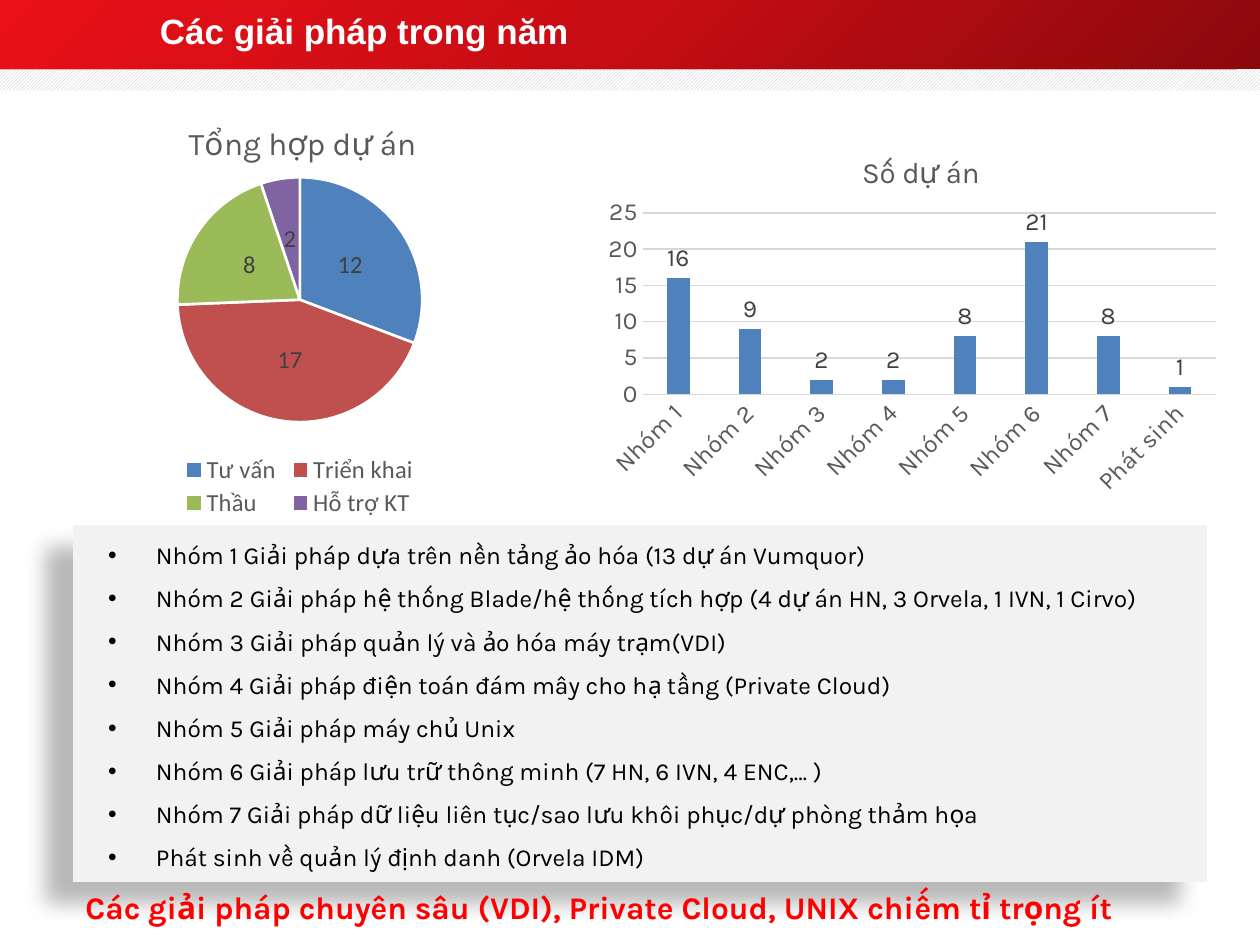
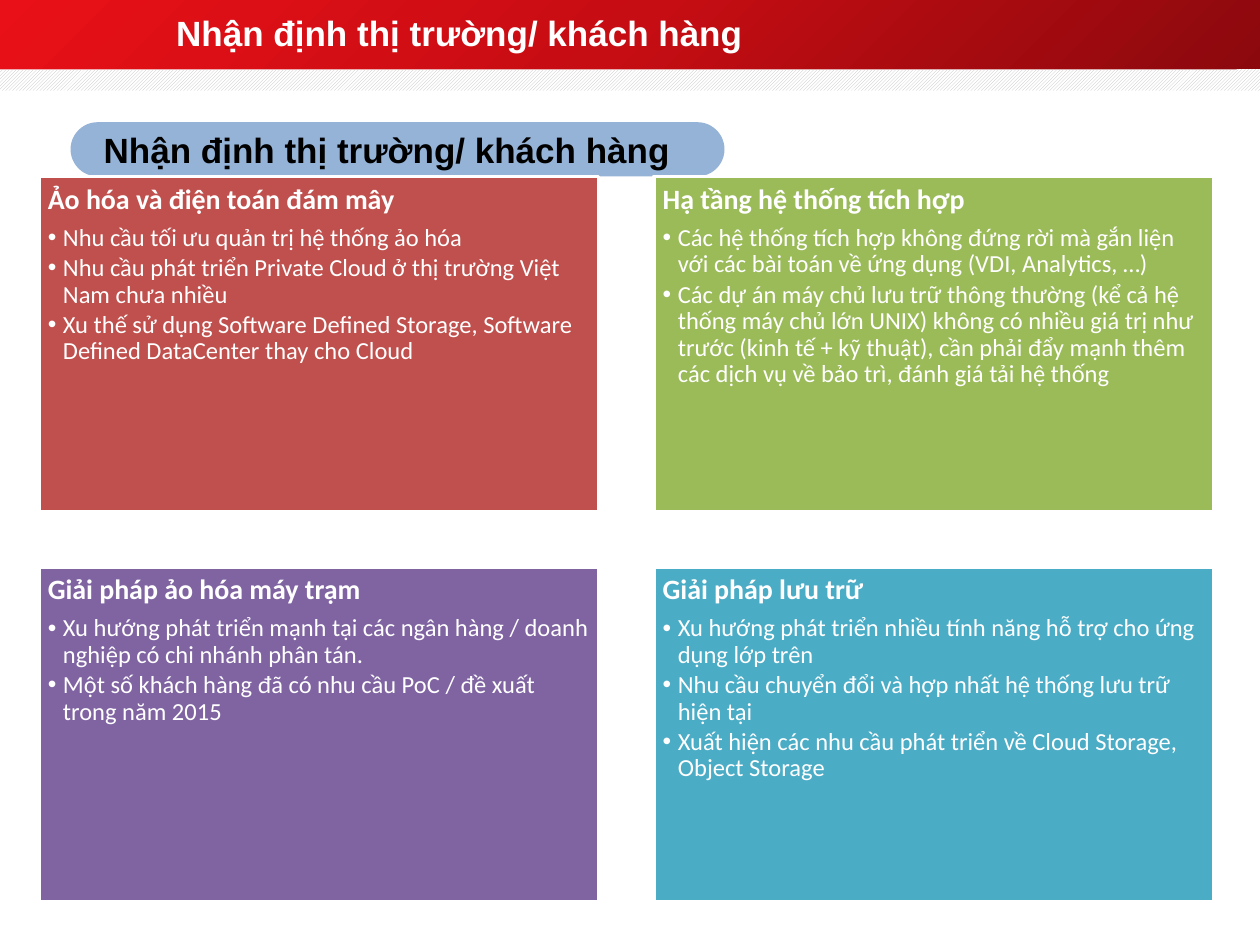
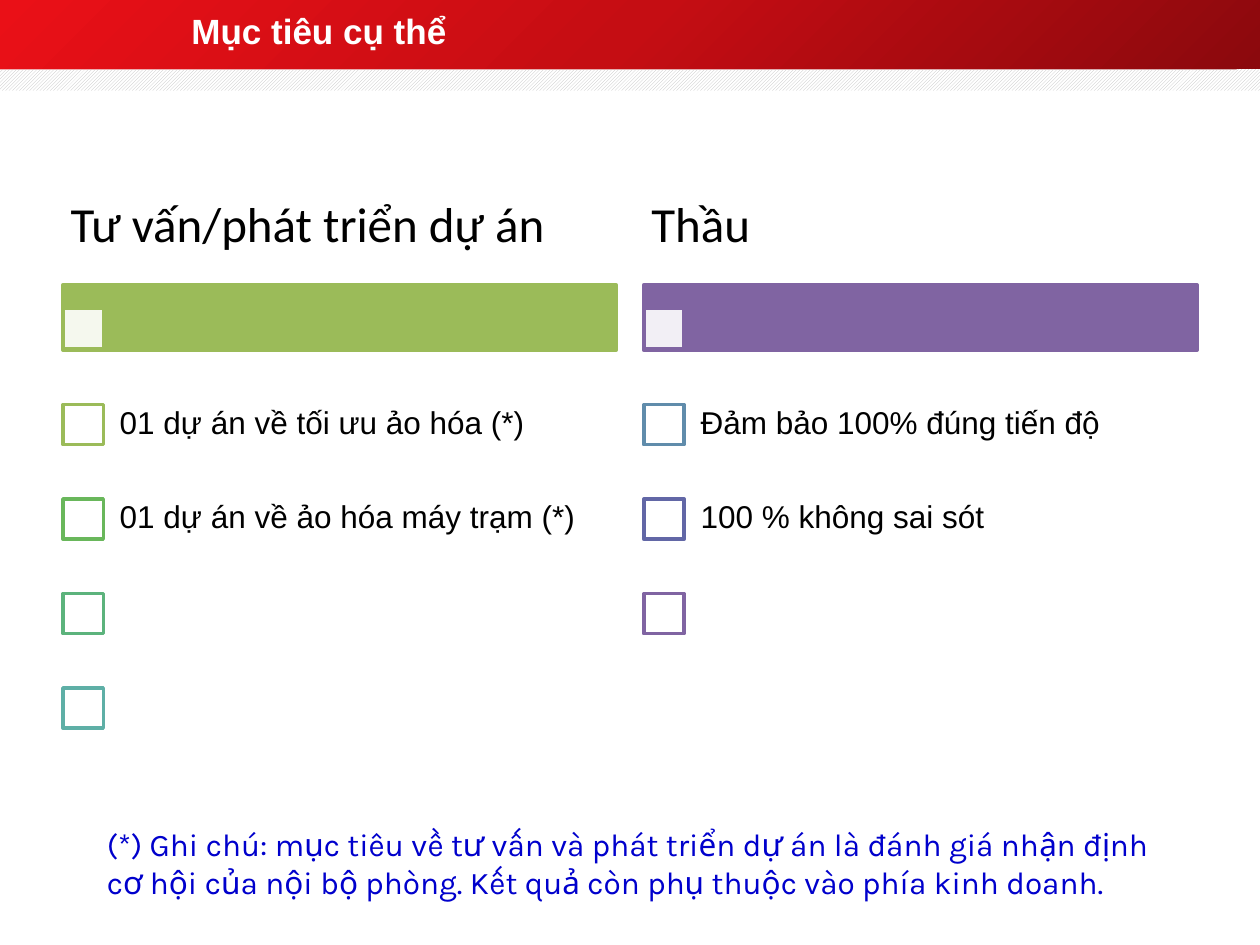
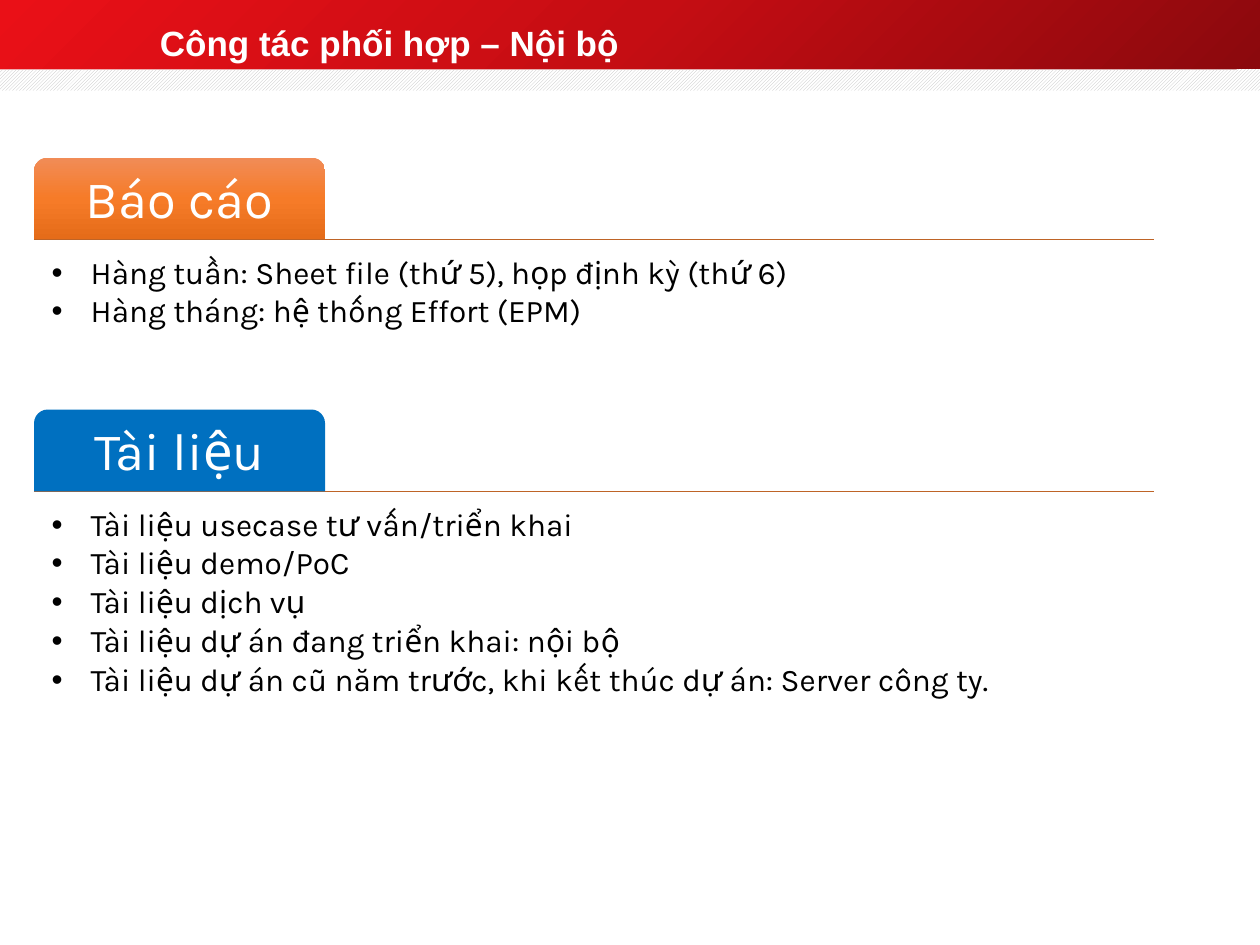
from copy import deepcopy
from dataclasses import dataclass, field

from lxml import etree
from pptx import Presentation
from pptx import util as u
from pptx.chart.data import CategoryChartData
from pptx.dml.color import RGBColor
from pptx.enum import chart as charts, dml, shapes, text
from pptx.oxml.ns import qn

# The grid: 10 columns by 7.5 rows fill the slide
WIDTH, HEIGHT = u.Inches(10), u.Inches(7.5)
COLUMN, ROW = WIDTH / 10, HEIGHT / 7.5
NO_INSET = (0.1, 0.05, 0.1, 0.05)


@dataclass(frozen=True)
class Style:
    """Format of a paragraph; spacing is a share of the type size."""
    size: float
    font: str
    color: str = "000000"
    bold: bool = False
    line: float = 1.0
    before: float = 0
    after: float = 0
    margin: float = 0
    hang: float = 0
    align: text.PP_ALIGN = text.PP_ALIGN.LEFT


@dataclass(frozen=True)
class Theme:
    blue: str = "4F81BD"
    red: str = "C0504D"
    green: str = "9BBB59"
    purple: str = "8064A2"
    aqua: str = "4BACC6"
    white: str = "FFFFFF"
    panel: str = "F2F2F2"
    pill: str = "95B3D7"
    document: str = "0070C0"
    rule: str = "BE6427"
    grid: str = "D9D9D9"
    axis_text: str = "595959"
    label_text: str = "404040"
    hatch: str = "BFBFBF"
    band: tuple = ("8B090D", "C50D13", "EA1017")
    report: tuple = ("F18C57", "F67B28", "E56C19")
    title: Style = field(default=Style(20, "Arial", "FFFFFF", True))
    pill_text: Style = field(default=Style(20, "Arial", bold=True))
    group: Style = field(default=Style(14, "Karla", line=1.3, before=0.2, margin=0.56, hang=0.38))
    conclusion: Style = field(default=Style(18, "Karla", "FF0000", True))
    card_head: Style = field(default=Style(16, "Calibri", "FFFFFF", True, line=0.9, after=0.35))
    card_item: Style = field(default=Style(14, "Calibri", "FFFFFF", line=0.9, after=0.15,
                                           margin=0.12, hang=0.12))
    goal_head: Style = field(default=Style(28, "Calibri", line=0.9, after=0.35))
    goal: Style = field(default=Style(18, "Arial", line=0.9, after=0.35))
    note: Style = field(default=Style(18, "Karla", "0000CC"))
    tab: Style = field(default=Style(30, "Karla", "FFFFFF", line=0.9, after=0.35,
                                     align=text.PP_ALIGN.CENTER))
    tab_item: Style = field(default=Style(18, "Karla", line=0.9, after=0.15,
                                          margin=0.31, hang=0.31))


THEME = Theme()


# Helpers for format
def apply(target, **values):
    for name, value in values.items():
        setattr(target, name, value)


def rgb(color):
    return RGBColor.from_string(color)


def place(left, top, width, height):
    return [round(n) for n in (left * COLUMN, top * ROW, width * COLUMN, height * ROW)]


def set_font(font, size, name, color, bold=False):
    apply(font, size=u.Pt(size), name=name, bold=bold)
    font.color.rgb = rgb(color)


def set_solid(fill, color):
    fill.solid()
    fill.fore_color.rgb = rgb(color)


def set_gradient(shape, colors, angle):
    """Three even stops; the angle runs counter-clockwise."""
    shape.fill.gradient()
    shape.fill.gradient_angle = angle
    stop_list = shape.element.spPr.find(".//" + qn("a:gsLst"))
    stop_list.append(deepcopy(stop_list[-1]))
    for index, (stop, color) in enumerate(zip(shape.fill.gradient_stops, colors)):
        stop.color.rgb = rgb(color)
        stop.position = index / 2


def add_shadow(shape, color, alpha, blur, distance, direction):
    effects = shape.element.spPr.find(qn("a:effectLst"))
    shadow = etree.SubElement(effects, qn("a:outerShdw"), {
        "blurRad": str(u.Pt(blur)), "dist": str(u.Pt(distance)),
        "dir": str(direction * 60000), "algn": "ctr", "rotWithShape": "0"})
    shade = etree.SubElement(shadow, qn("a:srgbClr"), val=color)
    etree.SubElement(shade, qn("a:alpha"), val=str(alpha * 1000))


# Elements
def write(shape, lines, inset=NO_INSET, anchor=text.MSO_ANCHOR.TOP):
    """Fill a shape with (text, style) pairs, one a paragraph."""
    frame = shape.text_frame
    sides = ("margin_left", "margin_top", "margin_right", "margin_bottom")
    apply(frame, word_wrap=True, vertical_anchor=anchor,
          **{side: u.Inches(n) for side, n in zip(sides, inset)})
    for index, (words, style) in enumerate(lines):
        paragraph = frame.add_paragraph() if index else frame.paragraphs[0]
        apply(paragraph, alignment=style.align, line_spacing=style.line,
              space_before=u.Pt(style.before * style.size),
              space_after=u.Pt(style.after * style.size))
        run = paragraph.add_run()
        run.text = words
        set_font(run.font, style.size, style.font, style.color, style.bold)
        if style.hang:
            properties = paragraph._p.get_or_add_pPr()
            properties.set("marL", str(u.Inches(style.margin)))
            properties.set("indent", str(-u.Inches(style.hang)))
            etree.SubElement(properties, qn("a:buFont"), typeface="Arial")
            etree.SubElement(properties, qn("a:buChar"), char="•")


def add_text(slide, box, lines, **layout):
    write(slide.shapes.add_textbox(*place(*box)), lines, **layout)


def add_block(slide, box, fill=None, line=None, kind=shapes.MSO_SHAPE.RECTANGLE, alpha=None):
    shape = slide.shapes.add_shape(kind, *place(*box))
    shape.shadow.inherit = False
    if fill:
        set_solid(shape.fill, fill)
    if alpha:
        color = shape.element.spPr.find(qn("a:solidFill"))[0]
        etree.SubElement(color, qn("a:alpha"), val=str(alpha * 1000))
    if line:
        set_solid(shape.line.fill, line)
        shape.line.width = u.Pt(2)
    else:
        shape.line.fill.background()
    return shape


def add_rule(slide, left, right, top):
    start, level, length, _ = place(left, top, right - left, 0)
    rule = slide.shapes.add_connector(shapes.MSO_CONNECTOR.STRAIGHT,
                                      start, level, start + length, level)
    rule.line.color.rgb = rgb(THEME.rule)
    rule.line.width = u.Pt(1)
    etree.SubElement(rule.element.spPr, qn("a:effectLst"))


def set_layout(chart, part, index, **shares):
    """Place a chart part by shares of the chart's size."""
    element = chart.element.xpath(f"c:chart/c:{part}")[0]
    for old in element.findall(qn("c:layout")):
        element.remove(old)
    layout = etree.Element(qn("c:layout"))
    manual = etree.SubElement(layout, qn("c:manualLayout"))
    if part == "plotArea":
        etree.SubElement(manual, qn("c:layoutTarget"), val="inner")
    for mode in ("xMode", "yMode"):
        etree.SubElement(manual, qn(f"c:{mode}"), val="edge")
    for name, share in shares.items():
        etree.SubElement(manual, qn(f"c:{name}"), val=str(share))
    element.insert(index, layout)


def add_chart(slide, box, kind, title, title_size, series_name, values, label_font, position):
    data = CategoryChartData()
    data.categories = list(values)
    data.add_series(series_name, list(values.values()))
    chart = slide.shapes.add_chart(kind, *place(*box), data).chart
    set_font(chart.font, 14, label_font, THEME.axis_text)
    chart.has_title = True
    chart.chart_title.text_frame.text = title
    set_font(chart.chart_title.text_frame.paragraphs[0].runs[0].font,
             title_size, "Karla", THEME.axis_text)
    plot = chart.plots[0]
    plot.has_data_labels = True
    apply(plot.data_labels, show_value=True, show_percentage=False, position=position)
    set_font(plot.data_labels.font, 14, label_font, THEME.label_text)
    chart.has_legend = False
    return chart


def add_project_pie(slide):
    values = {"Tư vấn": 12, "Triển khai": 17, "Thầu": 8, "Hỗ trợ KT": 2}
    chart = add_chart(slide, (0.17, 0.76, 4.42, 3.41), charts.XL_CHART_TYPE.PIE,
                      "Tổng hợp dự án", 18, "Series 1", values, "Calibri",
                      charts.XL_LABEL_POSITION.CENTER)
    chart.plots[0].vary_by_categories = True
    colors = (THEME.blue, THEME.red, THEME.green, THEME.purple)
    for index, color in enumerate(colors):
        point = chart.plots[0].series[0].points[index].format
        set_solid(point.fill, color)
        point.line.color.rgb = rgb(THEME.white)
        point.line.width = u.Pt(1.5)
    chart.has_legend = True
    apply(chart.legend, position=charts.XL_LEGEND_POSITION.BOTTOM, include_in_layout=False)
    set_font(chart.legend.font, 14, "Calibri", THEME.axis_text)
    set_layout(chart, "title", 1, x=0.29, y=0.05)
    set_layout(chart, "plotArea", 0, x=0.28, y=0.19, w=0.44, h=0.57)
    set_layout(chart, "legend", 1, x=0.28, y=0.83, w=0.44, h=0.16)


def add_group_columns(slide):
    counts = (16, 9, 2, 2, 8, 21, 8)
    values = {f"Nhóm {number}": count for number, count in enumerate(counts, 1)}
    values["Phát sinh"] = 1
    chart = add_chart(slide, (4.75, 1, 5, 3), charts.XL_CHART_TYPE.COLUMN_CLUSTERED,
                      "Số dự án", 16.8, "Số dự án", values, "Karla",
                      charts.XL_LABEL_POSITION.OUTSIDE_END)
    apply(chart.plots[0], gap_width=219, overlap=-27, vary_by_categories=False)
    set_solid(chart.plots[0].series[0].format.fill, THEME.blue)
    for axis in (chart.category_axis, chart.value_axis):
        apply(axis, major_tick_mark=charts.XL_TICK_MARK.NONE,
              minor_tick_mark=charts.XL_TICK_MARK.NONE)
        set_font(axis.tick_labels.font, 14, "Karla", THEME.axis_text)
    apply(chart.value_axis, minimum_scale=0, maximum_scale=25, major_unit=5)
    chart.value_axis.format.line.fill.background()
    for line in (chart.category_axis.format.line, chart.value_axis.major_gridlines.format.line):
        line.color.rgb = rgb(THEME.grid)
        line.width = u.Pt(0.75)
    label_body = chart.category_axis.element if hasattr(chart.category_axis, "element") else None
    if label_body is None:
        label_body = chart.element.xpath(".//c:catAx")[0]
    label_body.find(qn("c:txPr")).find(qn("a:bodyPr")).set("rot", str(-45 * 60000))
    set_layout(chart, "title", 1, x=0.41, y=0.06)
    set_layout(chart, "plotArea", 0, x=0.07, y=0.23, w=0.91, h=0.48)


# What the slides share
def prepare_layout(presentation):
    """Put the bands on the blank layout and return it with the first slide."""
    layout = presentation.slide_layouts[6]
    for placeholder in list(layout.placeholders):
        layout.shapes.element.remove(placeholder.element)
    slide = presentation.slides.add_slide(layout)
    band = add_block(slide, (0, 0, 10, 0.55))
    set_gradient(band, THEME.band, 135)
    strip = add_block(slide, (0, 0.55, 10, 0.17))
    strip.fill.patterned()
    strip.fill.pattern = dml.MSO_PATTERN.DARK_UPWARD_DIAGONAL
    strip.fill.fore_color.rgb = rgb(THEME.hatch)
    strip.fill.back_color.rgb = rgb(THEME.white)
    for shape in (band, strip):
        layout.shapes.element.append(shape.element)
    return layout, slide


def add_title(slide, words, left, top=0):
    add_text(slide, (left, top, 7.58, 0.48), [(words, THEME.title)],
             anchor=text.MSO_ANCHOR.MIDDLE)


# Slides
def build_solutions(slide):
    add_title(slide, "Các giải pháp trong năm", 1.17)
    add_project_pie(slide)
    panel = add_block(slide, (0.58, 4.17, 9, 2.83), THEME.panel)
    add_shadow(panel, "000000", alpha=28, blur=11.8, distance=19.7, direction=141)
    groups = (
        "Nhóm 1 Giải pháp dựa trên nền tảng ảo hóa (13 dự án Vumquor)",
        "Nhóm 2 Giải pháp hệ thống Blade/hệ thống tích hợp (4 dự án HN, 3 Orvela, 1 IVN, 1 Cirvo)",
        "Nhóm 3 Giải pháp quản lý và ảo hóa máy trạm(VDI)",
        "Nhóm 4 Giải pháp điện toán đám mây cho hạ tầng (Private Cloud)",
        "Nhóm 5 Giải pháp máy chủ Unix",
        "Nhóm 6 Giải pháp lưu trữ thông minh (7 HN, 6 IVN, 4 ENC,… )",
        "Nhóm 7 Giải pháp dữ liệu liên tục/sao lưu khôi phục/dự phòng thảm họa",
        "Phát sinh về quản lý định danh (Orvela IDM)",
    )
    write(panel, [(group, THEME.group) for group in groups])
    add_group_columns(slide)
    add_text(slide, (0.58, 7, 8.97, 0.4), [(
        "Các giải pháp chuyên sâu (VDI), Private Cloud, UNIX chiếm tỉ trọng ít",
        THEME.conclusion)])


def build_market(slide):
    heading = "Nhận định thị trường/ khách hàng"
    add_title(slide, heading, 1.3, 0.02)
    pill = add_block(slide, (0.56, 0.97, 5.19, 0.43), THEME.pill,
                     kind=shapes.MSO_SHAPE.ROUNDED_RECTANGLE)
    pill.adjustments[0] = 0.5
    write(pill, [(heading, THEME.pill_text)], (0.2, 0.05, 0.1, 0.05), text.MSO_ANCHOR.MIDDLE)
    cards = (
        (THEME.red, "Ảo hóa và điện toán đám mây", (
            "Nhu cầu tối ưu quản trị hệ thống ảo hóa",
            "Nhu cầu phát triển Private Cloud ở thị trường Việt Nam chưa nhiều",
            "Xu thế sử dụng Software Defined Storage, Software Defined DataCenter thay cho Cloud")),
        (THEME.green, "Hạ tầng hệ thống tích hợp", (
            "Các hệ thống tích hợp không đứng rời mà gắn liện với các bài toán về ứng dụng "
            "(VDI, Analytics, …)",
            "Các dự án máy chủ lưu trữ thông thường (kể cả hệ thống máy chủ lớn UNIX) không có "
            "nhiều giá trị như trước (kinh tế + kỹ thuật), cần phải đẩy mạnh thêm các dịch vụ "
            "về bảo trì, đánh giá tải hệ thống")),
        (THEME.purple, "Giải pháp ảo hóa máy trạm", (
            "Xu hướng phát triển mạnh tại các ngân hàng / doanh nghiệp có chi nhánh phân tán.",
            "Một số khách hàng đã có nhu cầu PoC / đề xuất trong năm 2015")),
        (THEME.aqua, "Giải pháp lưu trữ", (
            "Xu hướng phát triển nhiều tính năng hỗ trợ cho ứng dụng lớp trên",
            "Nhu cầu chuyển đổi và hợp nhất hệ thống lưu trữ hiện tại",
            "Xuất hiện các nhu cầu phát triển về Cloud Storage, Object Storage")),
    )
    for index, (color, head, items) in enumerate(cards):
        row, column = divmod(index, 2)
        card = add_block(slide, (0.31 + 4.88 * column, 1.4 + 3.1 * row, 4.44, 2.66),
                         color, THEME.white)
        lines = [(head, THEME.card_head)] + [(item, THEME.card_item) for item in items]
        write(card, lines, (0.07,) * 4)


def build_goals(slide):
    add_title(slide, "Mục tiêu cụ thể", 1.42)
    columns = (
        ("Tư vấn/phát triển dự án", THEME.green,
         ("01 dự án về tối ưu ảo hóa (*)", "01 dự án về ảo hóa máy trạm (*)"),
         (THEME.green, "69B75B", "5CB37C", "5EAFA6")),
        ("Thầu", THEME.purple,
         ("Đảm bảo 100% đúng tiến độ", "100 % không sai sót"),
         ("608CAB", "6267A6", THEME.purple)),
    )
    for index, (head, color, goals, box_colors) in enumerate(columns):
        left = 0.5 + 4.61 * index
        add_block(slide, (left, 2.26, 4.39, 0.52), color, color)
        add_block(slide, (left, 2.45, 0.32, 0.32), THEME.white, color, alpha=90)
        add_text(slide, (left, 1.33, 4.39, 0.93), [(head, THEME.goal_head)],
                 inset=(0.06, 0.04, 0.06, 0.04), anchor=text.MSO_ANCHOR.MIDDLE)
        for row, box_color in enumerate(box_colors):
            add_block(slide, (left, 3.21 + 0.75 * row, 0.32, 0.32), THEME.white, box_color)
        for row, goal in enumerate(goals):
            add_text(slide, (left + 0.31, 2.99 + 0.75 * row, 4.08, 0.75), [(goal, THEME.goal)],
                     inset=(0.14,) * 4, anchor=text.MSO_ANCHOR.MIDDLE)
    add_text(slide, (0.75, 6.5, 8.58, 0.71), [(
        "(*) Ghi chú: mục tiêu về tư vấn và phát triển dự án là đánh giá nhận định cơ hội của "
        "nội bộ phòng. Kết quả còn phụ thuộc vào phía kinh doanh.", THEME.note)])


def build_coordination(slide):
    add_title(slide, "Công tác phối hợp – Nội bộ", 1.17, 0.1)
    sections = (
        ("Báo cáo", THEME.report, 1.3, (
            "Hàng tuần: Sheet file (thứ 5), họp định kỳ (thứ 6)",
            "Hàng tháng: hệ thống Effort (EPM)")),
        ("Tài liệu", THEME.document, 1.93, (
            "Tài liệu usecase tư vấn/triển khai",
            "Tài liệu demo/PoC",
            "Tài liệu dịch vụ",
            "Tài liệu dự án đang triển khai: nội bộ",
            "Tài liệu dự án cũ năm trước, khi kết thúc dự án: Server công ty.")),
    )
    for index, (head, color, height, items) in enumerate(sections):
        base = 1.9 + 2 * index
        add_rule(slide, 0.27, 9.16, base)
        tab = add_block(slide, (0.27, base - 0.65, 2.31, 0.65),
                        kind=shapes.MSO_SHAPE.ROUND_2_SAME_RECTANGLE)
        if isinstance(color, tuple):
            set_gradient(tab, color, 270)
        else:
            set_solid(tab.fill, color)
        write(tab, [(head, THEME.tab)], (0.07, 0.07, 0.07, 0.06), text.MSO_ANCHOR.MIDDLE)
        add_text(slide, (0.27, base, 8.89, height), [(item, THEME.tab_item) for item in items],
                 inset=(0.14,) * 4)


def main():
    presentation = Presentation()
    apply(presentation, slide_width=WIDTH, slide_height=HEIGHT)
    layout, slide = prepare_layout(presentation)
    build_solutions(slide)
    for build in (build_market, build_goals, build_coordination):
        build(presentation.slides.add_slide(layout))
    presentation.save("out.pptx")


if __name__ == "__main__":
    main()
